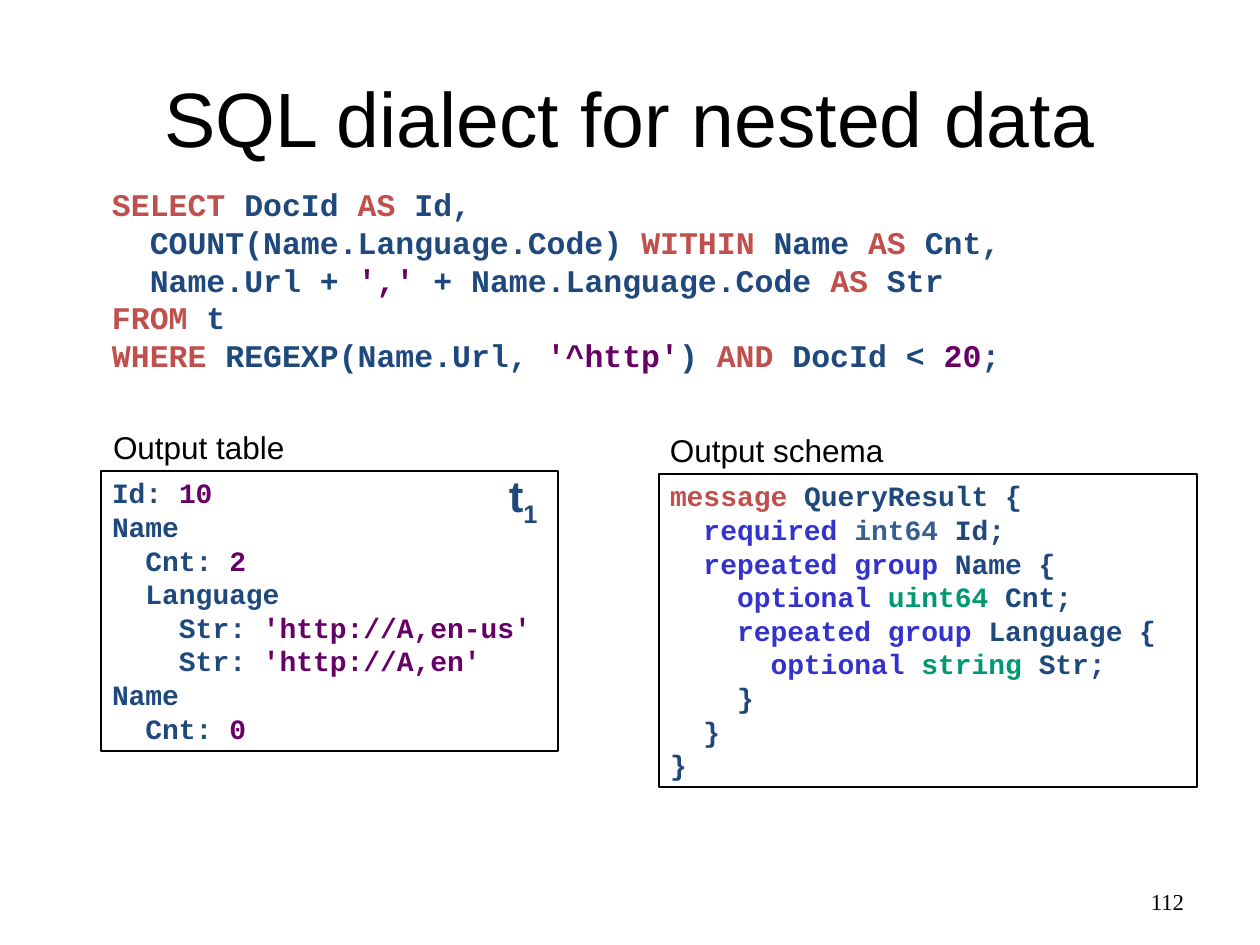
from dataclasses import dataclass

from pptx import Presentation
from pptx.dml.color import RGBColor
from pptx.enum.shapes import MSO_SHAPE
from pptx.enum.text import MSO_ANCHOR, PP_ALIGN
from pptx.util import Emu, Pt

PX_PER_INCH = 126
COLORS = {
    "black": "000000", "navy": "1F497D", "red": "C0504D", "purple": "660066",
    "blue": "3333CC", "steel": "376092", "green": "009973",
}


@dataclass
class Run:
    text: str
    color: str = "navy"
    baseline: int = 0


@dataclass
class Block:
    box: tuple[int, int, int, int]
    lines: list[list[Run]]
    size: int
    font: str = "Arial"
    bold: bool = False
    framed: bool = False
    wrap: bool = True
    align: PP_ALIGN = PP_ALIGN.LEFT
    anchor: MSO_ANCHOR = MSO_ANCHOR.TOP
    margins: tuple[int, int] = (11, 5)
    leading: float | None = None


def px(n: int) -> Emu:
    return Emu(round(n * 914400 / PX_PER_INCH))


def red(text: str) -> Run:
    return Run(text, "red")


def purple(text: str) -> Run:
    return Run(text, "purple")


def blue(text: str) -> Run:
    return Run(text, "blue")


def green(text: str) -> Run:
    return Run(text, "green")


def label(box: tuple[int, int, int, int], text: str) -> Block:
    return Block(box, [[Run(text, "black")]], 18, wrap=False)


def code(box: tuple[int, int, int, int], lines: list[list[Run]], size: int,
         framed: bool = False) -> Block:
    return Block(box, lines, size, "Courier New", bold=True, framed=framed,
                 leading=1.2 * size)


def write(tf, block: Block) -> None:
    tf.word_wrap = block.wrap
    tf.vertical_anchor = block.anchor
    tf.margin_left = tf.margin_right = px(block.margins[0])
    tf.margin_top = tf.margin_bottom = px(block.margins[1])
    for i, line in enumerate(block.lines):
        p = tf.paragraphs[0] if i == 0 else tf.add_paragraph()
        p.alignment = block.align
        if block.leading:
            p.line_spacing = Pt(block.leading)
        for run in line:
            r = p.add_run()
            r.text = run.text
            r.font.name = block.font
            r.font.size = Pt(block.size)
            r.font.bold = block.bold
            r.font.color.rgb = RGBColor.from_string(COLORS[run.color])
            if run.baseline:
                r.font._element.set("baseline", str(run.baseline * 1000))


def draw(s, block: Block) -> None:
    box = [px(n) for n in block.box]
    if block.framed:
        sp = s.shapes.add_shape(MSO_SHAPE.RECTANGLE, *box)
        sp.shadow.inherit = False
        sp.fill.background()
        sp.line.color.rgb = RGBColor.from_string(COLORS["black"])
        sp.line.width = Pt(0.75)
    else:
        sp = s.shapes.add_textbox(*box)
    write(sp.text_frame, block)


TITLE = Block((63, 38, 1134, 157), [[Run("SQL dialect for nested data", "black")]], 44,
              align=PP_ALIGN.CENTER, anchor=MSO_ANCHOR.MIDDLE)

QUERY = [
    [red("SELECT"), Run(" DocId "), red("AS"), Run(" Id,")],
    [Run("  COUNT(Name.Language.Code) "), red("WITHIN"), Run(" Name "), red("AS"),
     Run(" Cnt,")],
    [Run("  Name.Url + "), purple("',' "), Run("+ Name.Language.Code "), red("AS"),
     Run(" Str")],
    [red("FROM"), Run(" t")],
    [red("WHERE"), Run(" REGEXP(Name.Url, "), purple("'^http'"), Run(") "), red("AND"),
     Run(" DocId < "), purple("20"), Run(";")],
]

OUTPUT = [
    [Run("Id: "), purple("10")],
    [Run("Name")],
    [Run("  Cnt: "), purple("2")],
    [Run("  Language")],
    [Run("    Str: "), purple("'http://A,en-us'")],
    [Run("    Str: "), purple("'http://A,en'")],
    [Run("Name")],
    [Run("  Cnt: "), purple("0")],
]

SCHEMA = [
    [red("message "), Run("QueryResult {")],
    [blue("  required "), Run("int64 ", "steel"), Run("Id;")],
    [blue("  repeated group "), Run("Name {")],
    [blue("    optional "), green("uint64 "), Run("Cnt;")],
    [blue("    repeated group "), Run("Language {")],
    [blue("      optional "), green("string "), Run("Str;")],
    [Run("    }")],
    [Run("  }")],
    [Run("}")],
]

BLOCKS = [
    # Slide number
    Block((903, 876, 294, 50), [[Run("112", "black")]], 13, "Times New Roman",
          align=PP_ALIGN.RIGHT, anchor=MSO_ANCHOR.MIDDLE, margins=(13, 6)),
    # Output table with its name
    code((101, 471, 457, 280), OUTPUT, 16, framed=True),
    Block((498, 464, 76, 71), [[Run("t"), Run("1", baseline=-25)]], 25, bold=True),
    # Query
    code((101, 180, 1048, 200), QUERY, 18),
    # Output schema
    code((659, 474, 538, 313), SCHEMA, 16, framed=True),
    # Headings
    label((102, 423, 194, 49), "Output table"),
    label((659, 426, 237, 49), "Output schema"),
]


def main() -> None:
    prs = Presentation()
    prs.slide_width, prs.slide_height = px(1260), px(945)
    s = prs.slides.add_slide(prs.slide_layouts[5])

    # Title
    title = s.shapes.title
    title.left, title.top, title.width, title.height = (px(n) for n in TITLE.box)
    write(title.text_frame, TITLE)

    for block in BLOCKS:
        draw(s, block)
    prs.save("out.pptx")


if __name__ == "__main__":
    main()
